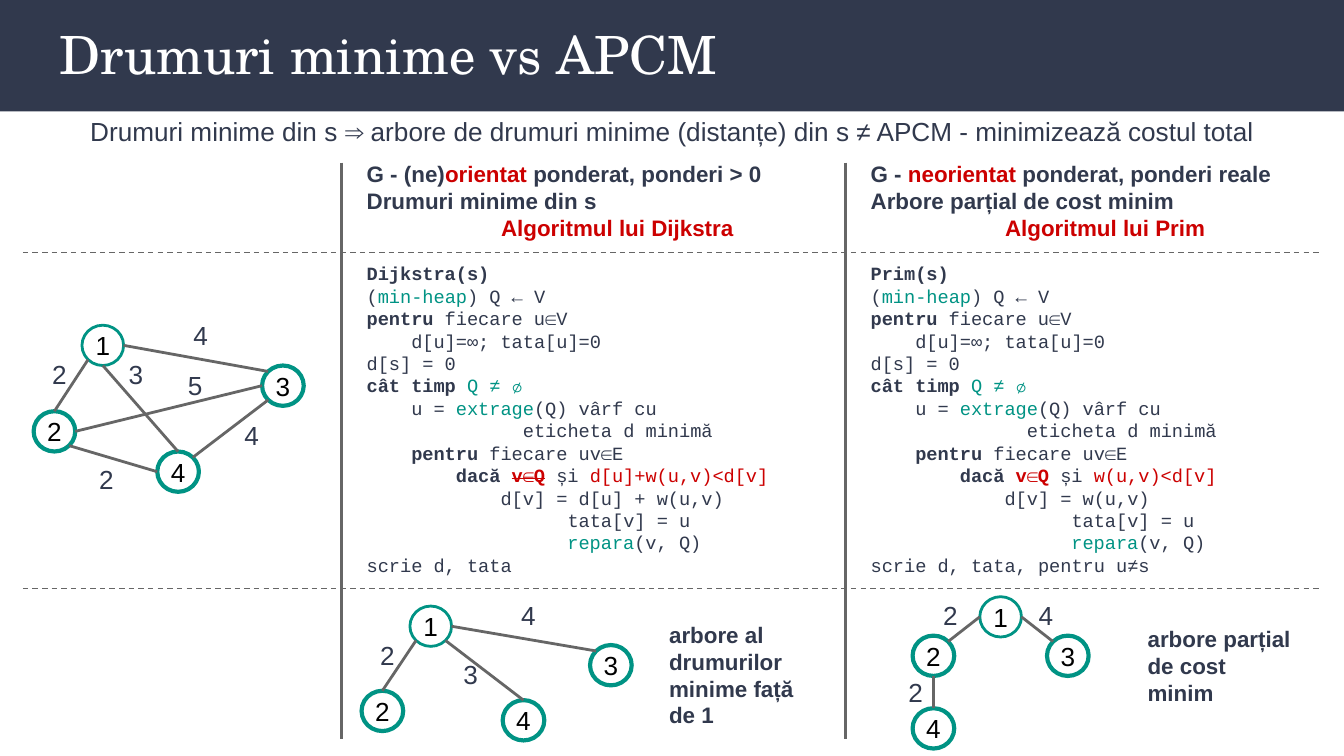
import math
from dataclasses import dataclass
from typing import Any, NamedTuple

import pptx
import pptx.dml.color
import pptx.enum.dml
import pptx.enum.shapes
import pptx.enum.text
import pptx.oxml
import pptx.oxml.ns
import pptx.util

PX = 9144  # one px is a hundredth of an inch
ALIGN = pptx.enum.text.PP_ALIGN
ANCHOR = pptx.enum.text.MSO_ANCHOR
SHAPE = pptx.enum.shapes.MSO_SHAPE
DASH = pptx.enum.dml.MSO_LINE.DASH


@dataclass(frozen=True)
class Theme:
    navy: str = "31394D"
    white: str = "FFFFFF"
    black: str = "000000"
    teal: str = "009384"
    red: str = "CC0000"
    gray: str = "666666"
    serif: str = "TeX Gyre Schola"
    sans: str = "Arial"
    mono: str = "Courier New"
    title: float = 28.2
    label: float = 14
    head: float = 12
    code: float = 10
    gap: float = 11.5


T = Theme()


class Run(NamedTuple):
    text: str
    color: str = T.navy
    bold: bool = False
    strike: bool = False


class Node(NamedTuple):
    name: str
    x: int
    y: int


class Edge(NamedTuple):
    start: str
    out: str
    end: str
    into: str


class Cost(NamedTuple):
    text: str
    x: int
    y: int


class Graph(NamedTuple):
    nodes: list[Node]
    edges: list[Edge]
    costs: list[Cost]


class Column(NamedTuple):
    x: int
    head: list[list[Run]]
    name: str
    test: list[Run]
    value: str
    tail: str


def px(n: float) -> int:
    return round(n * PX)


def rgb(color: str) -> Any:
    return pptx.dml.color.RGBColor.from_string(color)


def put(para: Any, text: str, *, size: float = T.label, face: str = T.sans,
        color: str = T.navy, bold: bool = False, strike: bool = False) -> None:
    """Add one formatted run to a paragraph."""
    run = para.add_run()
    run.text = text
    font = run.font
    font.size, font.bold = pptx.util.Pt(size), bold
    font.color.rgb, font.name = rgb(color), face
    props = run._r.get_or_add_rPr()
    for tag in ("a:ea", "a:cs"):
        mark = pptx.oxml.parse_xml(f'<{tag} {pptx.oxml.ns.nsdecls("a")} typeface="{face}"/>')
        props.append(mark)
    if strike:
        props.set("strike", "sngStrike")


def pad(frame: Any, n: int) -> None:
    frame.margin_left = frame.margin_right = px(n)
    frame.margin_top = frame.margin_bottom = px(n)


def box(slide: Any, x: int, y: int, w: int, h: int) -> Any:
    frame = slide.shapes.add_textbox(px(x), px(y), px(w), px(h)).text_frame
    frame.word_wrap = True
    pad(frame, 10)
    return frame


def line(slide: Any, x1: float, y1: float, x2: float, y2: float,
         width: float = 1.5, dash: Any = None) -> None:
    wire = slide.shapes.add_connector(pptx.enum.shapes.MSO_CONNECTOR.STRAIGHT,
                                      px(x1), px(y1), px(x2), px(y2))
    wire.line.color.rgb = rgb(T.gray)
    wire.line.width = pptx.util.Pt(width)
    if dash:
        wire.line.dash_style = dash
    wire._element.spPr.append(
        pptx.oxml.parse_xml(f'<a:effectLst {pptx.oxml.ns.nsdecls("a")}/>'))


WIDE, HIGH = 31, 30  # node size
SIDES = ("e", "se", "s", "sw", "w", "nw", "n", "ne")


def port(node: Node, side: str) -> tuple[float, float]:
    """Point on the rim of a node, named by compass side."""
    turn = SIDES.index(side) * math.pi / 4
    return (node.x + WIDE / 2 * (1 + math.cos(turn)),
            node.y + HIGH / 2 * (1 + math.sin(turn)))


def draw(slide: Any, graph: Graph) -> None:
    for node in graph.nodes:
        oval = slide.shapes.add_shape(SHAPE.OVAL, px(node.x), px(node.y), px(WIDE), px(HIGH))
        oval.shadow.inherit = False
        oval.fill.background()
        oval.line.color.rgb = rgb(T.teal)
        oval.line.width = pptx.util.Pt(1.5 if node.name == "1" else 2.25)
        frame = oval.text_frame
        pad(frame, 2)
        frame.vertical_anchor = ANCHOR.MIDDLE
        para = frame.paragraphs[0]
        para.alignment = ALIGN.CENTER
        put(para, node.name, color=T.black)
    find = {node.name: node for node in graph.nodes}
    for edge in graph.edges:
        line(slide, *port(find[edge.start], edge.out), *port(find[edge.end], edge.into))
    for cost in graph.costs:
        put(box(slide, cost.x, cost.y, 23, 44).paragraphs[0], cost.text)


def steps(col: Column) -> list[list[Run]]:
    """Pseudocode lines; the two algorithms differ only in a few places."""
    return [
        [Run(f"{col.name}(s)", bold=True)],
        [Run("("), Run("min-heap", T.teal), Run(") Q ← V")],
        [Run("pentru", bold=True), Run(" fiecare u∈V")],
        [Run("    d[u]=∞; tata[u]=0")],
        [Run("d[s] = 0")],
        [Run("cât timp ", bold=True), Run("Q ≠ ∅", T.teal)],
        [Run("    u = "), Run("extrage", T.teal), Run("(Q) vârf cu")],
        [Run("              eticheta d minimă")],
        [Run("    pentru", bold=True), Run(" fiecare uv∈E")],
        [Run("        dacă ", bold=True), *col.test],
        [Run(f"            d[v] = {col.value}")],
        [Run("                  tata[v] = u")],
        [Run("                  "), Run("repara", T.teal), Run("(v, Q)")],
        [Run(f"scrie d, tata{col.tail}")],
    ]


def fill(slide: Any, col: Column) -> None:
    frame = box(slide, col.x, 109, 346, 333)
    algo = [Run(f"Algoritmul lui {col.name}", T.red, True)]
    heads = [*col.head, algo]
    for i, runs in enumerate(heads + steps(col)):
        para = frame.add_paragraph() if i else frame.paragraphs[0]
        top = i < len(heads)
        if runs is algo:
            para._p.get_or_add_pPr().set("marL", str(px(100)))
        if i == len(heads):
            para.space_before = pptx.util.Pt(T.gap)
        for run in runs:
            put(para, run.text, size=T.head if top else T.code,
                face=T.sans if top else T.mono,
                color=run.color, bold=run.bold, strike=run.strike)


COLUMNS = [
    Column(263, [[Run("G - (ne)", bold=True), Run("orientat", T.red, True),
                  Run(" ponderat, ponderi > 0", bold=True)],
                 [Run("Drumuri minime din s", bold=True)]],
           "Dijkstra", [Run("v∈Q", T.red, True, True), Run(" și "),
                        Run("d[u]+w(u,v)<d[v]", T.red)], "d[u] + w(u,v)", ""),
    Column(638, [[Run("G - ", bold=True), Run("neorientat", T.red, True),
                  Run(" ponderat, ponderi reale", bold=True)],
                 [Run("Arbore parțial de cost minim", bold=True)]],
           "Prim", [Run("v∈Q", T.red, True), Run(" și "),
                    Run("w(u,v)<d[v]", T.red)], "w(u,v)", ", pentru u≠s"),
]
GRAPHS = [
    Graph([Node("1", 61, 242), Node("3", 195, 272), Node("2", 25, 306), Node("4", 117, 336)],
          [Edge("1", "e", "3", "nw"), Edge("1", "sw", "2", "n"), Edge("1", "s", "4", "n"),
           Edge("2", "se", "4", "w"), Edge("3", "sw", "4", "ne"), Edge("2", "e", "3", "w")],
          [Cost("4", 134, 228), Cost("4", 172, 302), Cost("2", 29, 257),
           Cost("2", 64, 335), Cost("3", 86, 257), Cost("5", 130, 265)]),
    Graph([Node("1", 305, 451), Node("3", 439, 480), Node("2", 269, 514), Node("4", 374, 521)],
          [Edge("1", "e", "3", "nw"), Edge("1", "sw", "2", "n"), Edge("1", "se", "4", "n")],
          [Cost("4", 378, 436), Cost("2", 273, 466), Cost("3", 335, 480)]),
    Graph([Node("1", 729, 444), Node("3", 779, 473), Node("2", 679, 473), Node("4", 679, 527)],
          [Edge("1", "e", "3", "nw"), Edge("1", "w", "2", "ne"), Edge("2", "s", "4", "n")],
          [Cost("4", 763, 436), Cost("2", 692, 436), Cost("2", 666, 493)]),
]


def main() -> None:
    deck = pptx.Presentation()
    deck.slide_width, deck.slide_height = px(1000), px(1000 * 9 / 16)
    slide = deck.slides.add_slide(deck.slide_layouts[5])

    # Title on its band
    band = slide.shapes.add_shape(SHAPE.RECTANGLE, 0, 0, px(1000), px(83))
    band.shadow.inherit = False
    band.fill.solid()
    band.fill.fore_color.rgb = rgb(T.navy)
    band.line.fill.background()
    slide.shapes._spTree.insert(2, band._element)
    title = slide.shapes.title
    title.left, title.top, title.width, title.height = px(34), px(6), px(932), px(68)
    frame = title.text_frame
    pad(frame, 10)
    frame.auto_size = pptx.enum.text.MSO_AUTO_SIZE.NONE
    frame.vertical_anchor = ANCHOR.MIDDLE
    frame.paragraphs[0].alignment = ALIGN.LEFT
    put(frame.paragraphs[0], "Drumuri minime vs APCM", size=T.title, face=T.serif, color=T.white)

    # Summary line
    para = box(slide, 24, 76, 953, 44).paragraphs[0]
    para.alignment = ALIGN.CENTER
    put(para, "Drumuri minime din s ⇒ arbore de drumuri minime (distanțe) din s ≠ APCM"
              " - minimizează costul total")

    # Grid rules
    for x in (254, 629):
        line(slide, x, 121, x, 550)
    for y in (188, 438):
        line(slide, 17, y, 983, y, 0.75, DASH)

    # Algorithms, graphs and captions
    for col in COLUMNS:
        fill(slide, col)
    for graph in GRAPHS:
        draw(slide, graph)
    for x, y, h, text in ((488, 452, 101, "arbore al drumurilor minime față de 1"),
                          (844, 455, 81, "arbore parțial de cost minim")):
        put(box(slide, x, y, 131, h).paragraphs[0], text, size=T.head, bold=True)

    deck.save("out.pptx")


if __name__ == "__main__":
    main()
